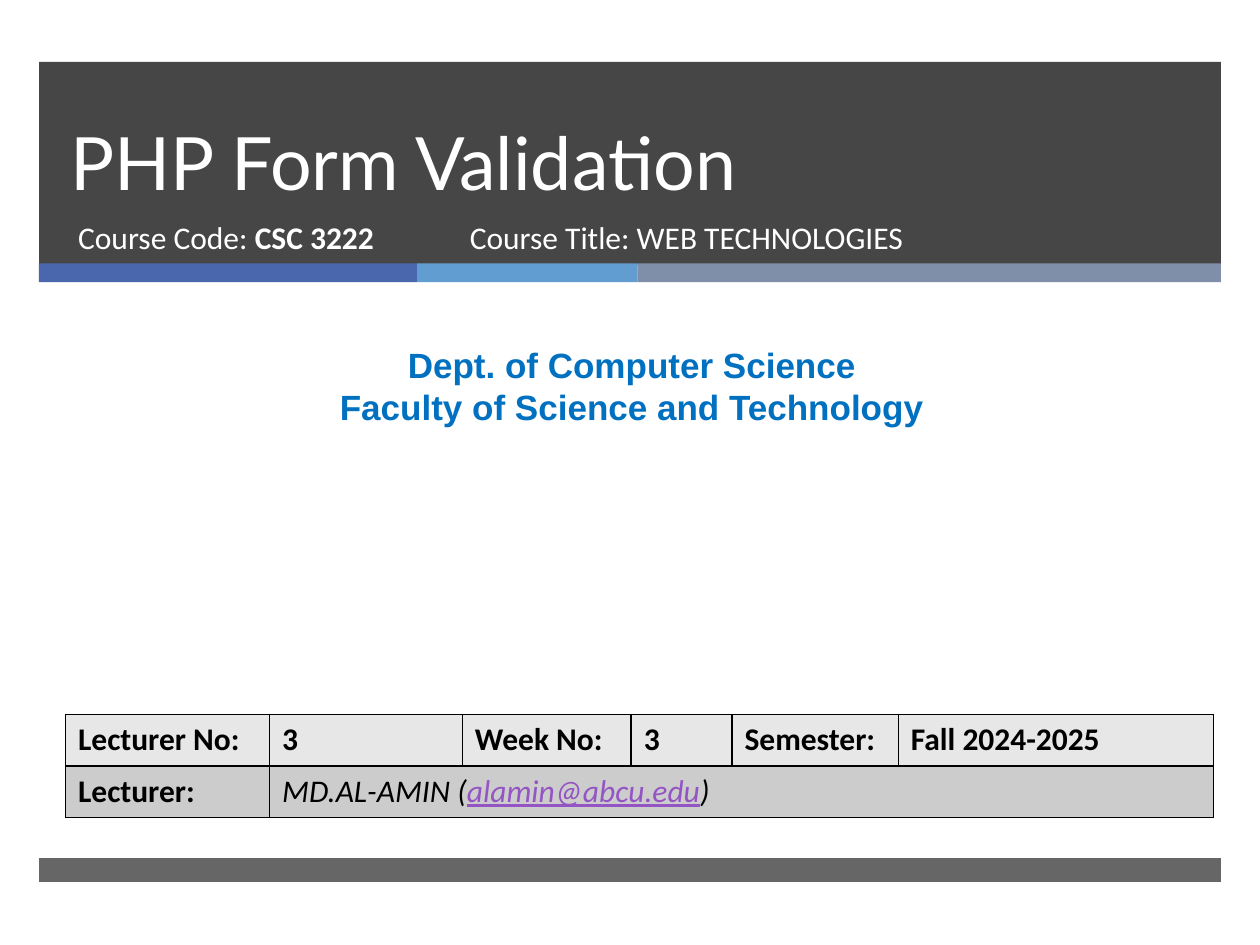
from pptx import Presentation
from pptx.dml.color import RGBColor
from pptx.enum.shapes import MSO_SHAPE
from pptx.enum.text import MSO_ANCHOR, MSO_AUTO_SIZE, PP_ALIGN
from pptx.oxml import parse_xml
from pptx.oxml.ns import nsdecls
from pptx.util import Inches, Pt


def rgb(value):
    return RGBColor.from_string(value)


def add_text(p, text, size=18, font="Calibri", color="FFFFFF",
             bold=False, italic=False, underline=False):
    r = p.add_run()
    r.text = text
    f = r.font
    f.size, f.name, f.color.rgb = Pt(size), font, rgb(color)
    f.bold, f.italic, f.underline = bold, italic, underline


class SlideBuilder:
    """Hold the slide and its style, and add each kind of element."""

    dark = "262626"
    black = "000000"
    blue = "0070C0"
    link = "9454C3"
    row_fills = ("E7E7E7", "CCCCCC")

    def __init__(self, s):
        self.s = s

    def bar(self, left, top, width, height, color, opacity=100):
        sp = self.s.shapes.add_shape(
            MSO_SHAPE.RECTANGLE, Inches(left), Inches(top), Inches(width), Inches(height))
        sp.shadow.inherit = False
        sp.line.fill.background()
        sp.fill.solid()
        sp.fill.fore_color.rgb = rgb(color)
        if opacity < 100:
            clr = sp._element.spPr.find(".//{*}srgbClr")
            clr.append(parse_xml(f'<a:alpha {nsdecls("a")} val="{opacity * 1000}"/>'))

    def frame(self, sp, anchor=MSO_ANCHOR.TOP, align=PP_ALIGN.LEFT):
        tf = sp.text_frame
        tf.word_wrap = True
        tf.auto_size = MSO_AUTO_SIZE.NONE
        tf.vertical_anchor = anchor
        p = tf.paragraphs[0]
        p.alignment = align
        p.space_before = Pt(0)
        return p

    def placeholder(self, idx, left, top, width, height, anchor=MSO_ANCHOR.TOP):
        sp = self.s.placeholders[idx]
        sp.left, sp.top, sp.width, sp.height = map(Inches, (left, top, width, height))
        self.s.shapes._spTree.append(sp._element)
        return self.frame(sp, anchor)

    def text_box(self, left, top, width, height, lines, align=PP_ALIGN.LEFT, **style):
        sp = self.s.shapes.add_textbox(
            Inches(left), Inches(top), Inches(width), Inches(height))
        p = self.frame(sp, align=align)
        for i, line in enumerate(lines):
            if i:
                p = sp.text_frame.add_paragraph()
                p.alignment = align
            add_text(p, line, **style)

    def border(self, cell):
        tcPr = cell._tc.get_or_add_tcPr()
        for i, side in enumerate(("lnL", "lnR", "lnT", "lnB")):
            tcPr.insert(i, parse_xml(
                f'<a:{side} {nsdecls("a")} w="12700"><a:solidFill>'
                f'<a:srgbClr val="{self.black}"/></a:solidFill></a:{side}>'))

    def table(self, left, top, widths, row_height, rows):
        table = self.s.shapes.add_table(
            len(rows), len(widths), Inches(left), Inches(top),
            Inches(sum(widths)), Inches(row_height * len(rows))).table
        for col, width in zip(table.columns, widths):
            col.width = Inches(width)
        for i, (row, fill) in enumerate(zip(rows, self.row_fills)):
            table.rows[i].height = Inches(row_height)
            for j in range(len(widths)):
                cell = table.cell(i, j)
                cell.fill.solid()
                cell.fill.fore_color.rgb = rgb(fill)
                self.border(cell)
                if j < len(row):
                    add_text(cell.text_frame.paragraphs[0], row[j],
                             color=self.black, bold=True)
        return table


def main():
    prs = Presentation()
    prs.slide_width, prs.slide_height = Inches(10), Inches(7.5)
    b = SlideBuilder(prs.slides.add_slide(prs.slide_layouts[0]))

    b.bar(0.31, 0.49, 9.38, 1.61, b.dark, 85)
    left = 0.31
    for width, color in ((3, "4A66AC"), (1.75, "629DD1"), (4.63, "7F8FA9")):
        b.bar(left, 2.09, width, 0.15, color)
        left += width
    b.bar(0.31, 6.81, 9.38, 0.19, b.dark, 70)

    p = b.placeholder(0, 0.46, 0.49, 8.54, 1.19, MSO_ANCHOR.BOTTOM)
    p.line_spacing = Pt(46)
    add_text(p, "PHP Form Validation", size=42, font="Lato")

    p = b.placeholder(1, 0.52, 1.68, 3.05, 0.53)
    add_text(p, "Course Code: ")
    add_text(p, "CSC 3222", bold=True)
    b.text_box(3.63, 1.68, 4.55, 0.53, ["Course Title: WEB TECHNOLOGIES"])

    b.text_box(0.08, 2.68, 9.87, 0.77,
               ["Dept. of Computer Science", "Faculty of Science and Technology"],
               PP_ALIGN.CENTER, size=20, font="Arial", color=b.blue, bold=True)

    table = b.table(0.52, 5.67, (1.62, 1.53, 1.34, 0.8, 1.32, 2.5), 0.41, [
        ["Lecturer No:", "3", "Week No:", "3", "Semester:", "Fall 2024-2025"],
        ["Lecturer:"],
    ])
    lecturer = table.cell(1, 1)
    lecturer.merge(table.cell(1, 5))
    p = lecturer.text_frame.paragraphs[0]
    add_text(p, "MD.AL-AMIN (", color=b.black, italic=True)
    add_text(p, "alamin@abcu.edu", color=b.link, italic=True, underline=True)
    add_text(p, ")", color=b.black, italic=True)

    prs.save("out.pptx")


if __name__ == "__main__":
    main()
